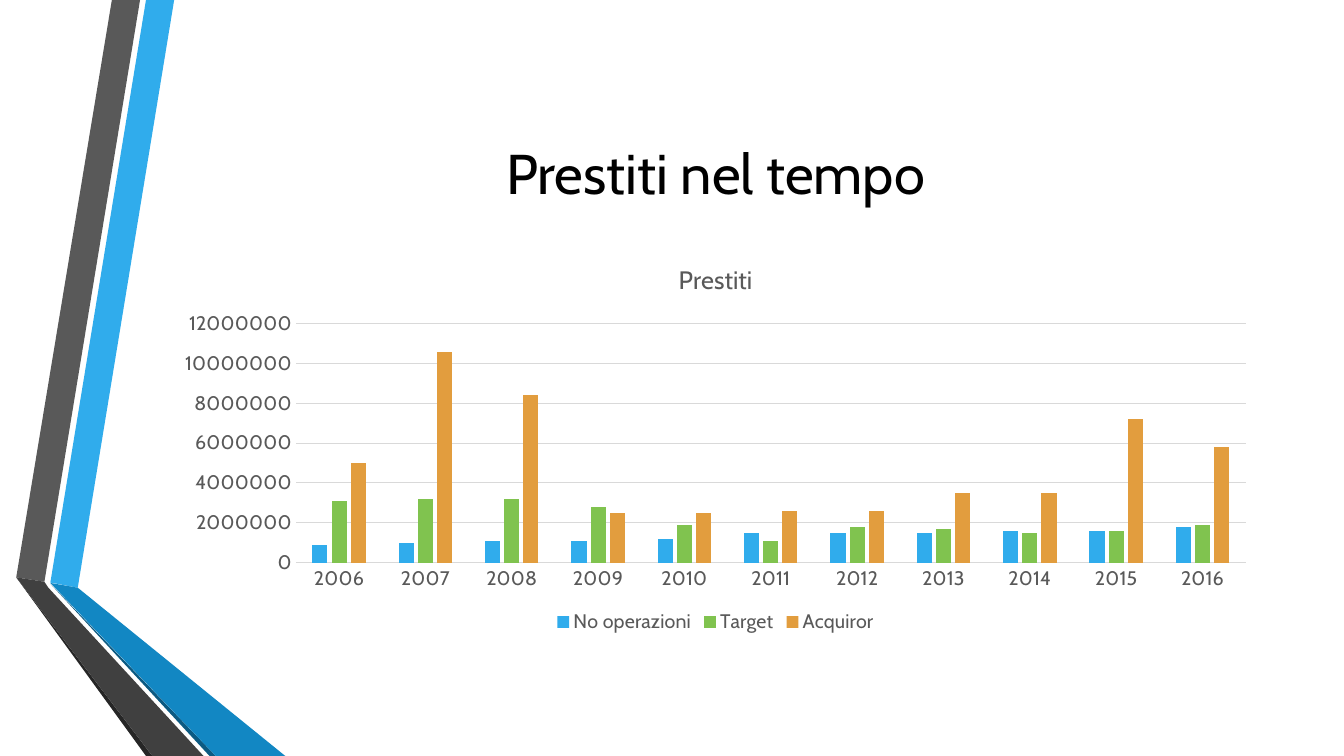
from pptx import Presentation
from pptx.chart.data import CategoryChartData
from pptx.dml.color import RGBColor
from pptx.enum.chart import XL_CHART_TYPE, XL_LEGEND_POSITION, XL_TICK_MARK
from pptx.enum.text import MSO_ANCHOR, PP_ALIGN
from pptx.util import Cm, Pt

FONT = "Cabin"
GREY = "595959"
GRID = "D9D9D9"
SLIDE_SIZE = (33.87, 19.05)
HEADING = "Prestiti nel tempo"
HEADING_BOX = (4.11, 1.9, 27.84, 4.88)
LOANS_TITLE = "Prestiti"
LOANS_BOX = (4.11, 6.17, 27.84, 9.91)
YEARS = [str(year) for year in range(2006, 2017)]
MILLION = 1_000_000
LOANS = [
    ("No operazioni", "30ACEC", [0.9, 1, 1.1, 1.1, 1.2, 1.5, 1.5, 1.5, 1.6, 1.6, 1.8]),
    ("Target", "80C34F", [3.1, 3.2, 3.2, 2.8, 1.9, 1.1, 1.8, 1.7, 1.5, 1.6, 1.9]),
    ("Acquiror", "E29D3E", [5, 10.6, 8.4, 2.5, 2.5, 2.6, 2.6, 3.5, 3.5, 7.2, 5.8]),
]
RIBBONS = [
    ("30ACEC", [(1.27, 14.68), (1.96, 14.81), (4.39, 0), (3.68, 0)]),
    (GREY, [(3.53, 0), (2.82, 0), (0.41, 14.55), (1.12, 14.66)]),
    ("262626", [(0.41, 14.55), (3.68, 19.05), (3.84, 19.05)]),
    ("0C5A82", [(1.27, 14.71), (5.28, 19.05), (5.44, 19.05)]),
    ("1287C3", [(1.27, 14.69), (5.44, 19.05), (7.19, 19.05), (1.96, 14.81)]),
    ("404040", [(0.41, 14.55), (3.84, 19.05), (5.13, 19.05), (1.22, 14.81), (1.12, 14.66)]),
]


def rgb(color):
    return RGBColor.from_string(color)


def style(font, size, color):
    font.name, font.size, font.bold = FONT, Pt(size), False
    font.color.rgb = rgb(color)


def rule(line, color):
    line.color.rgb = rgb(color)
    line.width = Pt(0.75)


def add_ribbon(slide, color, corners):
    start, *others = [(Cm(x), Cm(y)) for x, y in corners]
    builder = slide.shapes.build_freeform(*start)
    builder.add_line_segments(others)
    ribbon = builder.convert_to_shape()
    ribbon.fill.solid()
    ribbon.fill.fore_color.rgb = rgb(color)
    ribbon.line.fill.background()
    ribbon.shadow.inherit = False


def add_heading(slide):
    heading = slide.shapes.title
    heading.left, heading.top, heading.width, heading.height = map(Cm, HEADING_BOX)
    frame = heading.text_frame
    frame.text = HEADING
    frame.vertical_anchor = MSO_ANCHOR.MIDDLE
    paragraph = frame.paragraphs[0]
    paragraph.alignment = PP_ALIGN.CENTER
    style(paragraph.runs[0].font, 40, "000000")


def add_loans(slide):
    data = CategoryChartData(number_format="General")
    data.categories = YEARS
    for group, _, amounts in LOANS:
        data.add_series(group, [round(amount * MILLION) for amount in amounts])
    loans = slide.shapes.add_chart(
        XL_CHART_TYPE.COLUMN_CLUSTERED, *map(Cm, LOANS_BOX), data).chart
    style(loans.font, 14, GREY)

    loans.has_title = True
    caption = loans.chart_title.text_frame
    caption.text = LOANS_TITLE
    style(caption.paragraphs[0].runs[0].font, 18, GREY)
    loans.chart_title.include_in_layout = False

    loans.has_legend = True
    loans.legend.position = XL_LEGEND_POSITION.BOTTOM
    loans.legend.include_in_layout = False
    style(loans.legend.font, 14, GREY)

    for axis in (loans.category_axis, loans.value_axis):
        axis.major_tick_mark = axis.minor_tick_mark = XL_TICK_MARK.NONE
        style(axis.tick_labels.font, 14, GREY)
    rule(loans.category_axis.format.line, GRID)
    amounts = loans.value_axis
    amounts.minimum_scale, amounts.maximum_scale = 0, 12 * MILLION
    amounts.major_unit = 2 * MILLION
    amounts.format.line.fill.background()
    rule(amounts.major_gridlines.format.line, GRID)

    columns = loans.plots[0]
    columns.gap_width, columns.overlap = 219, -27
    columns.vary_by_categories = False
    for series, (_, color, _) in zip(columns.series, LOANS):
        series.format.fill.solid()
        series.format.fill.fore_color.rgb = rgb(color)


def main():
    """Build the slide on loans over time, with side ribbons and a column chart."""
    deck = Presentation()
    deck.slide_width, deck.slide_height = map(Cm, SLIDE_SIZE)
    slide = deck.slides.add_slide(deck.slide_layouts[5])
    for color, corners in RIBBONS:
        add_ribbon(slide, color, corners)
    add_heading(slide)
    add_loans(slide)
    deck.save("out.pptx")


main()
